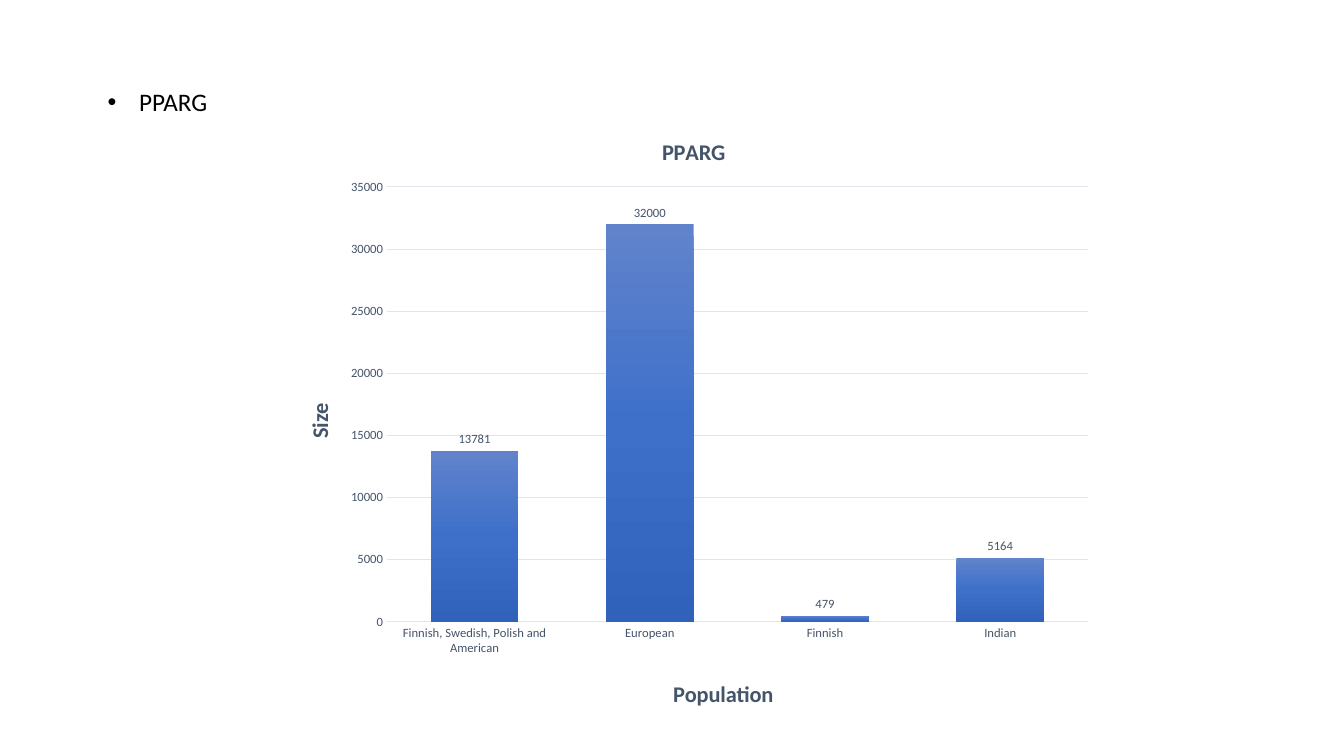
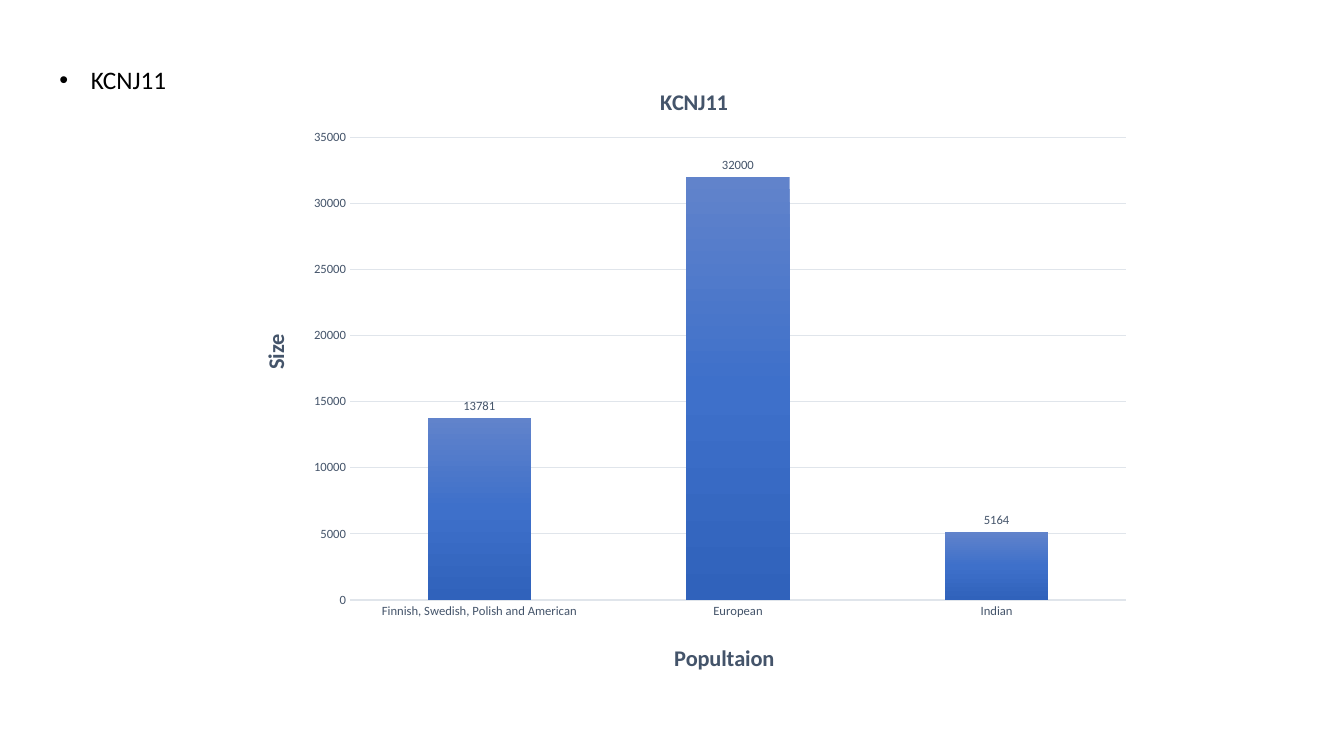
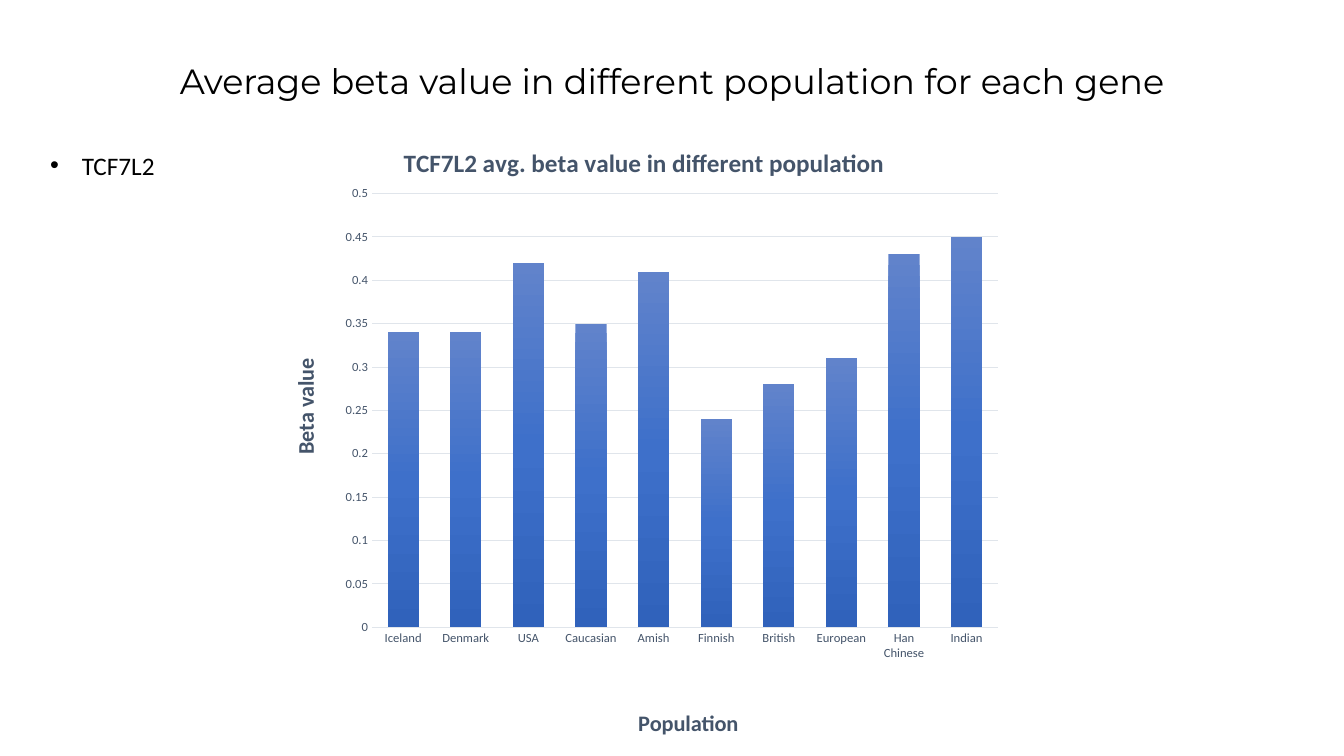
from lxml.etree import fromstring
from pptx import Presentation
from pptx.chart.data import CategoryChartData
from pptx.dml.color import RGBColor
from pptx.enum.chart import XL_CHART_TYPE, XL_LABEL_POSITION, XL_TICK_MARK
from pptx.enum.text import MSO_ANCHOR, PP_ALIGN
from pptx.oxml import parse_xml
from pptx.oxml.ns import nsdecls, qn
from pptx.util import Pt

COLORS = {"text": "000000", "chart": "44546A", "grid": "E0E5EB",
          "top": "6183CB", "middle": "3E70CA", "bottom": "3062BB"}
GRADIENT = "".join(f'<a:gs pos="{pos}"><a:srgbClr val="{COLORS[name]}"/></a:gs>'
                   for pos, name in ((0, "top"), (50000, "middle"), (100000, "bottom")))
BAR_FILL = (f'<a:gradFill {nsdecls("a")} rotWithShape="1"><a:gsLst>{GRADIENT}</a:gsLst>'
            '<a:lin ang="5400000" scaled="0"/></a:gradFill>')


def write(tf, text, size=18, font="Calibri", color="text", bold=False,
          align=None, spacing=None, bullet=False):
    p = tf.paragraphs[0]
    p.alignment = align
    p.line_spacing = spacing
    r = p.add_run()
    r.text = text
    r.font.size = Pt(size)
    r.font.name = font
    r.font.bold = bold
    r.font.color.rgb = RGBColor.from_string(COLORS[color])
    if bullet:
        pPr = p._p.get_or_add_pPr()
        pPr.set("marL", str(Pt(22.5)))
        pPr.set("indent", str(-Pt(22.5)))
        pPr.append(parse_xml(f'<a:buFont {nsdecls("a")} typeface="Arial"/>'))
        pPr.append(parse_xml(f'<a:buChar {nsdecls("a")} char="\u2022"/>'))


def place(element, index, frame, x, y, size=None):
    left, top, width, height = frame
    values = {"x": (x - left) / width, "y": (y - top) / height}
    target = ""
    if size:
        target = '<c:layoutTarget val="inner"/>'
        values.update(w=size[0] / width, h=size[1] / height)
    modes = "".join(f'<c:{k}Mode val="edge"/>' for k in "xy")
    parts = "".join(f'<c:{k} val="{v:.4f}"/>' for k, v in values.items())
    for old in element.findall(qn("c:layout")):
        element.remove(old)
    element.insert(index, parse_xml(
        f'<c:layout {nsdecls("c")}><c:manualLayout>{target}{modes}{parts}'
        '</c:manualLayout></c:layout>'))


MIXED = "Finnish, Swedish, Polish and American"
SLIDES = [
    dict(gene="PPARG", label=(69.84, 58.32, 183.6),
         frame=(196.56, 77.76, 591.84, 439.92), plot=(276.4, 133.6, 500.7, 310.7),
         title="PPARG", title_size=16, title_at=(470, 95.2),
         x_title="Population", x_at=(477.9, 481.7),
         y_title="Size", y_at=(214.6, 285), y_max=35000, step=5000,
         gap=100, labels=True,
         data={MIXED: 13781, "European": 32000, "Finnish": 479, "Indian": 5164}),
    dict(gene="KCNJ11", label=(35.28, 42.48, 232.56),
         frame=(169.92, 42.48, 647.28, 450), plot=(250, 97.9, 554.3, 330.7),
         title="KCNJ11", title_size=16, title_at=(468.6, 59.5),
         x_title="Popultaion", x_at=(478.6, 456),
         y_title="Size", y_at=(183.1, 235.7), y_max=35000, step=5000,
         gap=150, labels=True,
         data={MIXED: 13781, "European": 32000, "Indian": 5164}),
    dict(heading="Average beta value in different population for each gene",
         gene="TCF7L2", label=(28.8, 103.68, 179.28),
         frame=(194.4, 84.24, 529.2, 447.84), plot=(265.7, 138.9, 447.1, 313.2),
         title="TCF7L2 avg. beta value in different population", title_size=18,
         title_at=(285, 100.8), x_title="Population", x_at=(452.9, 508),
         y_title="Beta value", y_at=(204.5, 255.7), y_max=0.5, step=0.05,
         gap=100, labels=False,
         data={"Iceland": 0.34, "Denmark": 0.34, "USA": 0.42, "Caucasian": 0.35,
               "Amish": 0.41, "Finnish": 0.24, "British": 0.28, "European": 0.31,
               "Han Chinese": 0.43, "Indian": 0.45}),
]

prs = Presentation()
prs.slide_width, prs.slide_height = Pt(960), Pt(540)

for item in SLIDES:
    s = prs.slides.add_slide(prs.slide_layouts[6])
    if "heading" in item:
        tf = s.shapes.add_textbox(Pt(66), Pt(28.8), Pt(828), Pt(61.2)).text_frame
        tf.word_wrap = True
        tf.vertical_anchor = MSO_ANCHOR.MIDDLE
        write(tf, item["heading"], size=25, font="Montserrat",
              align=PP_ALIGN.CENTER, spacing=0.9)

    left, top, width = item["label"]
    tf = s.shapes.add_textbox(Pt(left), Pt(top), Pt(width), Pt(28.8)).text_frame
    tf.word_wrap = True
    write(tf, item["gene"], bullet=True)

    data = CategoryChartData()
    data.categories = list(item["data"])
    data.add_series("Series 1", list(item["data"].values()))
    frame = item["frame"]
    chart = s.shapes.add_chart(XL_CHART_TYPE.COLUMN_CLUSTERED,
                               *[Pt(v) for v in frame], data).chart
    chart.has_legend = False
    chart.font.name = "Calibri"
    chart.font.size = Pt(9)
    chart.font.color.rgb = RGBColor.from_string(COLORS["chart"])

    x_axis, y_axis = chart.category_axis, chart.value_axis
    for title, text, size, at in (
            (chart.chart_title, item["title"], item["title_size"], item["title_at"]),
            (x_axis.axis_title, item["x_title"], 16, item["x_at"]),
            (y_axis.axis_title, item["y_title"], 16, item["y_at"])):
        write(title.text_frame, text, size=size, color="chart", bold=True)
        place(title._element, 1, frame, *at)
    y_axis.axis_title.text_frame._txBody.bodyPr.set("rot", "-5400000")
    x, y, *size = item["plot"]
    place(chart._chartSpace.chart.plotArea, 0, frame, x, y, size)

    for axis in (x_axis, y_axis):
        axis.major_tick_mark = axis.minor_tick_mark = XL_TICK_MARK.NONE
    y_axis.minimum_scale, y_axis.maximum_scale = 0, item["y_max"]
    y_axis.major_unit = item["step"]
    y_axis.tick_labels.number_format = "General"
    y_axis.tick_labels.number_format_is_linked = False
    y_axis.format.line.fill.background()
    for line in (x_axis.format.line, y_axis.major_gridlines.format.line):
        line.color.rgb = RGBColor.from_string(COLORS["grid"])
        line.width = Pt(0.75)

    plot = chart.plots[0]
    plot.gap_width, plot.overlap = item["gap"], -24
    plot.vary_by_categories = False
    series = plot.series[0]
    series.invert_if_negative = False
    series.format.line.fill.background()
    series._element.spPr.insert(0, parse_xml(BAR_FILL))
    if item["labels"]:
        plot.has_data_labels = True
        labels = plot.data_labels
        labels.show_value = True
        labels.position = XL_LABEL_POSITION.OUTSIDE_END
        labels.font.size = Pt(9)
        labels.font.name = "Calibri"
        labels.font.color.rgb = RGBColor.from_string(COLORS["chart"])

prs.save("out.pptx")
